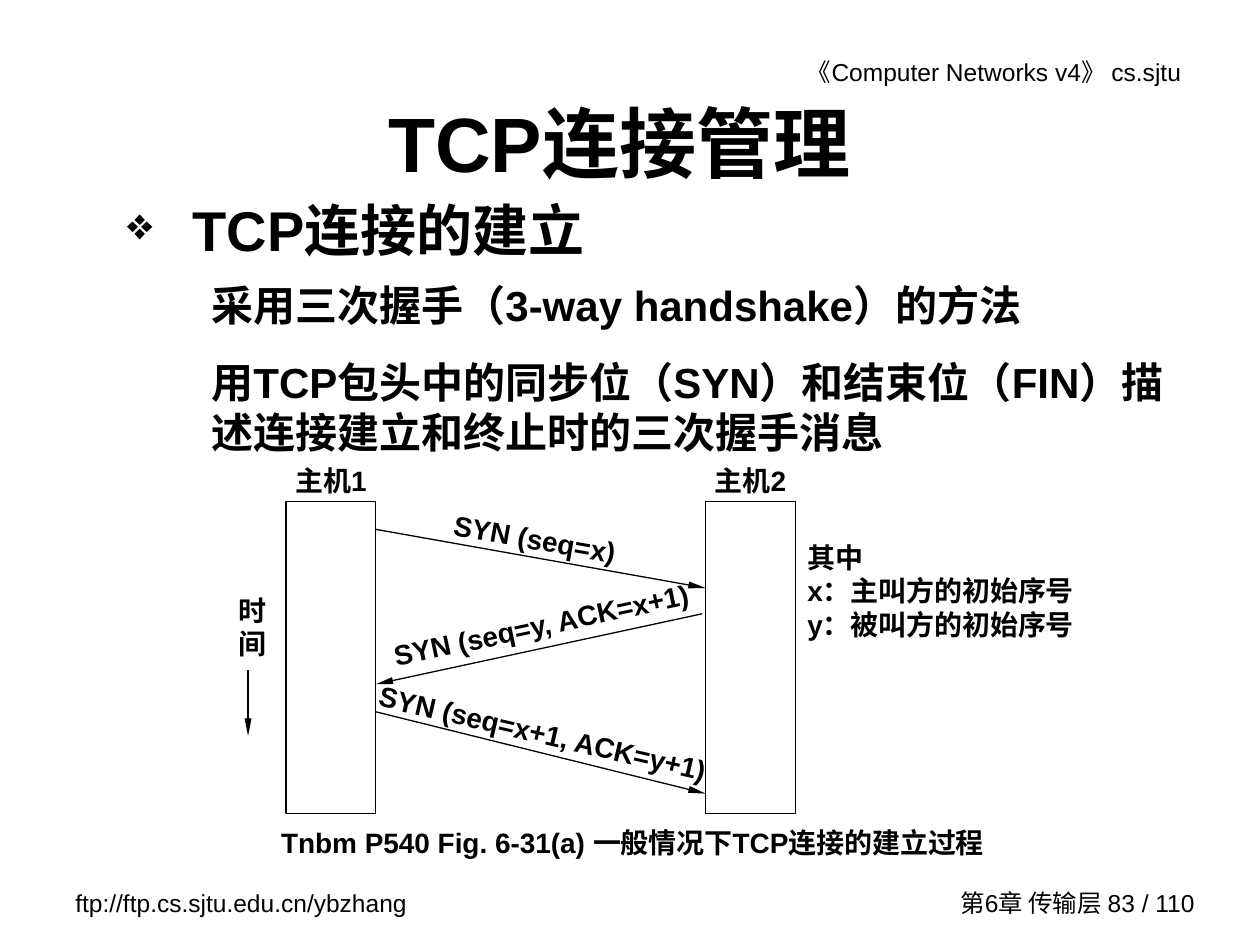
from lxml import etree
from pptx import Presentation
from pptx.dml.color import RGBColor
from pptx.enum.shapes import MSO_CONNECTOR, MSO_SHAPE
from pptx.enum.text import MSO_ANCHOR as Anchor, PP_ALIGN as Align
from pptx.oxml.ns import qn
from pptx.util import Pt

BLACK = RGBColor(0, 0, 0)
FONT = "Arial"


class Board:
    """Holds the style and the current slide; all lengths are in points."""

    def __init__(self, slide, font=FONT, ink=BLACK, stroke=0.75):
        self.slide = slide
        self.font = font
        self.ink = ink
        self.stroke = stroke

    def text(self, lines, left, top, width, height, size=16, bold=True,
             align=Align.LEFT, anchor=Anchor.TOP, angle=0, gap=0,
             spacing=None, bullet=None):
        """Adds one paragraph per line; gap is the space between paragraphs."""
        box = self.slide.shapes.add_textbox(Pt(left), Pt(top), Pt(width), Pt(height))
        box.rotation = angle
        frame = box.text_frame
        frame.word_wrap = True
        frame.vertical_anchor = anchor
        for index, line in enumerate(lines):
            paragraph = frame.paragraphs[0] if index == 0 else frame.add_paragraph()
            if bullet:
                self.bullet(paragraph, bullet)
            paragraph.alignment = align
            if spacing:
                paragraph.line_spacing = spacing
            if index and gap:
                paragraph.space_before = Pt(gap)
            run = paragraph.add_run()
            run.text = line
            run.font.name = self.font
            run.font.size = Pt(size)
            run.font.bold = bold
            run.font.color.rgb = self.ink

    def bullet(self, paragraph, mark, indent=37.5, percent=80):
        props = paragraph._p.get_or_add_pPr()
        props.set("marL", str(Pt(indent)))
        props.set("indent", str(-Pt(indent)))
        color = etree.SubElement(props, qn("a:buClr"))
        etree.SubElement(color, qn("a:srgbClr"), val=str(self.ink))
        etree.SubElement(props, qn("a:buSzPct"), val=str(percent * 1000))
        etree.SubElement(props, qn("a:buChar"), char=mark)

    def bar(self, left, top, width, height):
        bar = self.slide.shapes.add_shape(
            MSO_SHAPE.RECTANGLE, Pt(left), Pt(top), Pt(width), Pt(height))
        bar.shadow.inherit = False
        bar.fill.background()
        bar.line.color.rgb = self.ink
        bar.line.width = Pt(self.stroke)

    def arrow(self, x1, y1, x2, y2):
        arrow = self.slide.shapes.add_connector(
            MSO_CONNECTOR.STRAIGHT, Pt(x1), Pt(y1), Pt(x2), Pt(y2))
        arrow.line.color.rgb = self.ink
        arrow.line.width = Pt(self.stroke)
        etree.SubElement(arrow.line._get_or_add_ln(), qn("a:tailEnd"),
                         type="triangle", w="sm", len="lg")
        etree.SubElement(arrow._element.spPr, qn("a:effectLst"))


def add_frame_texts(board):
    board.text(["《Computer Networks v4》 cs.sjtu"], 372, 28.8, 310, 24.5,
               size=14, bold=False, align=Align.RIGHT)
    board.text(["ftp://ftp.cs.sjtu.edu.cn/ybzhang"], 36, 504, 210, 24.5,
               size=14, bold=False)
    board.text(["第6章 传输层 83 / 110"], 527, 504, 162.75, 24,
               size=14, bold=False, align=Align.RIGHT, anchor=Anchor.MIDDLE)


def add_statements(board):
    board.text(["TCP连接管理"], 48, 48.25, 612, 66, size=44,
               align=Align.CENTER, anchor=Anchor.MIDDLE)
    board.text(["TCP连接的建立"], 65.5, 108, 348, 48, size=32, bullet="❖")
    board.text(["采用三次握手（3-way handshake）的方法",
                "用TCP包头中的同步位（SYN）和结束位（FIN）描述连接建立和终止时的三次握手消息"],
               113.75, 156.25, 582, 108.75, size=24, gap=15)


def add_handshake(board):
    bar_top, bar_width, bar_height = 286.5, 51.25, 178.5
    label_width = 83.5
    host_lefts = {"主机1": 163.5, "主机2": 403.25}
    for host, left in host_lefts.items():
        board.text([host], left + (bar_width - label_width) / 2, 261.5,
                   label_width, 22.5, align=Align.CENTER)
        board.bar(left, bar_top, bar_width, bar_height)

    sender, receiver = host_lefts["主机1"] + bar_width, host_lefts["主机2"]
    messages = [
        # wording, arrow ends, label left, top and width, angle, spacing
        ("SYN (seq=x)", (sender, 302.5, receiver, 336), (229.75, 294.5, 152), 10, None),
        ("SYN (seq=y, ACK=x+1)", (receiver - 2, 350.75, sender, 391),
         (210.25, 345, 198), -12, 0.96),
        ("SYN (seq=x+1, ACK=y+1)", (sender, 406.75, receiver, 453.5),
         (206, 406.75, 208), 13, 0.96),
    ]
    for wording, ends, place, angle, spacing in messages:
        board.arrow(*ends)
        board.text([wording], *place, 24.5, align=Align.CENTER,
                   angle=angle, spacing=spacing)

    board.text(["时间"], 129, 335.5, 43, 41)
    board.arrow(141.75, 383, 141.75, 420.5)
    board.text(["其中", "x：主叫方的初始序号", "y：被叫方的初始序号"],
               454.25, 305.25, 175.75, 71.25)
    board.text(["Tnbm P540 Fig. 6-31(a) 一般情况下TCP连接的建立过程"],
               146.25, 469.5, 430.5, 24.5, align=Align.CENTER, spacing=0.96)


def main():
    deck = Presentation()
    deck.slide_width, deck.slide_height = Pt(720), Pt(540)
    board = Board(deck.slides.add_slide(deck.slide_layouts[6]))
    add_frame_texts(board)
    add_statements(board)
    add_handshake(board)
    deck.save("out.pptx")


if __name__ == "__main__":
    main()
